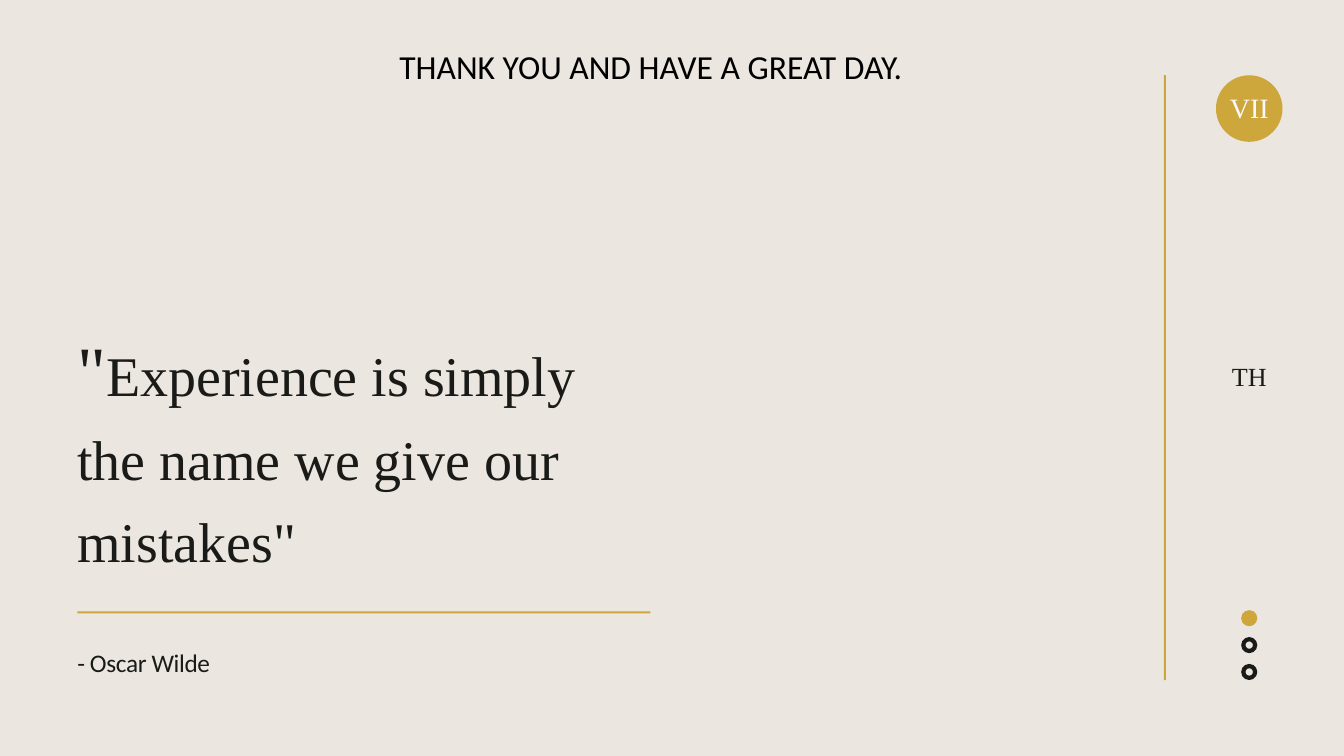
import pptx
import pptx.util
import pptx.dml.color
import pptx.enum.shapes
import pptx.enum.text

SHAPE = pptx.enum.shapes.MSO_SHAPE
ALIGN = pptx.enum.text.PP_ALIGN

COLORS = {"paper": "EBE7E0", "gold": "CDA63C", "ink": "1A1B18",
          "white": "FAFAFA", "black": "000000"}
SERIF, SANS = "Times New Roman", "Calibri"

# Grid of square cells: 20 columns by 11.25 rows
COLUMNS, ROWS = 20, 11.25
CELL = pptx.util.Inches(1)
TOP, BOTTOM = 1.12, 10.12
LEFT, QUOTE_WIDTH = 1.15, 8.53
RULE = 0.03
DIVIDER = 17.32
BADGE = 0.99
RAIL_CENTER = 18.59
DOT, DOT_STEP = 0.24, 0.4
RAIL_LEFT = RAIL_CENTER - BADGE / 2

# Text: place, spans of (words, size), line spacing, font, color, alignment, tracking
TEXTS = [
    ((RAIL_CENTER - 0.37, 1.39, 0.74, 0.48), [("VII", 30)], 33,
     SERIF, "white", ALIGN.CENTER, 0),
    ((LEFT, 4.9, QUOTE_WIDTH, 3.66),
     [('"', 75.8), ('Experience is simply the name we give our mistakes"', 60)], 87.2,
     SERIF, "ink", ALIGN.LEFT, 0),
    ((LEFT, 9.6, QUOTE_WIDTH, 0.53), [("- Oscar Wilde", 27.1)], 35.2,
     SANS, "ink", ALIGN.LEFT, -0.4),
    ((RAIL_LEFT, 5.4, BADGE, 0.43), [("TH", 28)], 30.8,
     SERIF, "ink", ALIGN.CENTER, 0),
    ((2.05, 0.58, DIVIDER - 2.05, 0.69), [("THANK YOU AND HAVE A GREAT DAY.", 36)], 50.4,
     SANS, "black", ALIGN.CENTER, 0),
]

# Page markers from top to bottom
MARKERS = [(SHAPE.OVAL, "gold"), (SHAPE.DONUT, "ink"), (SHAPE.DONUT, "ink")]


def rgb(name):
    return pptx.dml.color.RGBColor.from_string(COLORS[name])


def cells(place):
    return [round(value * CELL) for value in place]


def add_figure(page, kind, place, color):
    figure = page.shapes.add_shape(kind, *cells(place))
    figure.shadow.inherit = False
    figure.fill.solid()
    figure.fill.fore_color.rgb = rgb(color)
    figure.line.fill.background()
    return figure


def add_text(page, place, spans, spacing, font, color, align, tracking):
    frame = page.shapes.add_textbox(*cells(place)).text_frame
    frame.word_wrap = True
    frame.margin_left = frame.margin_right = frame.margin_top = frame.margin_bottom = 0
    para = frame.paragraphs[0]
    para.alignment = align
    para.line_spacing = pptx.util.Pt(spacing)
    para.font.name = font
    para.font.color.rgb = rgb(color)
    for words, size in spans:
        span = para.add_run()
        span.text = words
        span.font.size = pptx.util.Pt(size)
        if tracking:
            span.font._element.set("spc", str(round(tracking * 100)))


deck = pptx.Presentation()
deck.slide_width, deck.slide_height = cells((COLUMNS, ROWS))
page = deck.slides.add_slide(deck.slide_layouts[6])
page.background.fill.solid()
page.background.fill.fore_color.rgb = rgb("paper")

# Badge and rules
add_figure(page, SHAPE.OVAL, (RAIL_LEFT, TOP, BADGE, BADGE), "gold")
add_figure(page, SHAPE.RECTANGLE, (LEFT, 9.1, QUOTE_WIDTH, RULE), "gold")
add_figure(page, SHAPE.RECTANGLE, (DIVIDER, TOP, RULE, BOTTOM - TOP), "gold")

# Page markers, the last one standing on the bottom line
for index, (kind, color) in enumerate(MARKERS):
    top = BOTTOM - DOT - DOT_STEP * (len(MARKERS) - 1 - index)
    marker = add_figure(page, kind, (RAIL_CENTER - DOT / 2, top, DOT, DOT), color)
    if kind == SHAPE.DONUT:
        marker.adjustments[0] = 0.27

# Texts
for text in TEXTS:
    add_text(page, *text)

deck.save("out.pptx")
